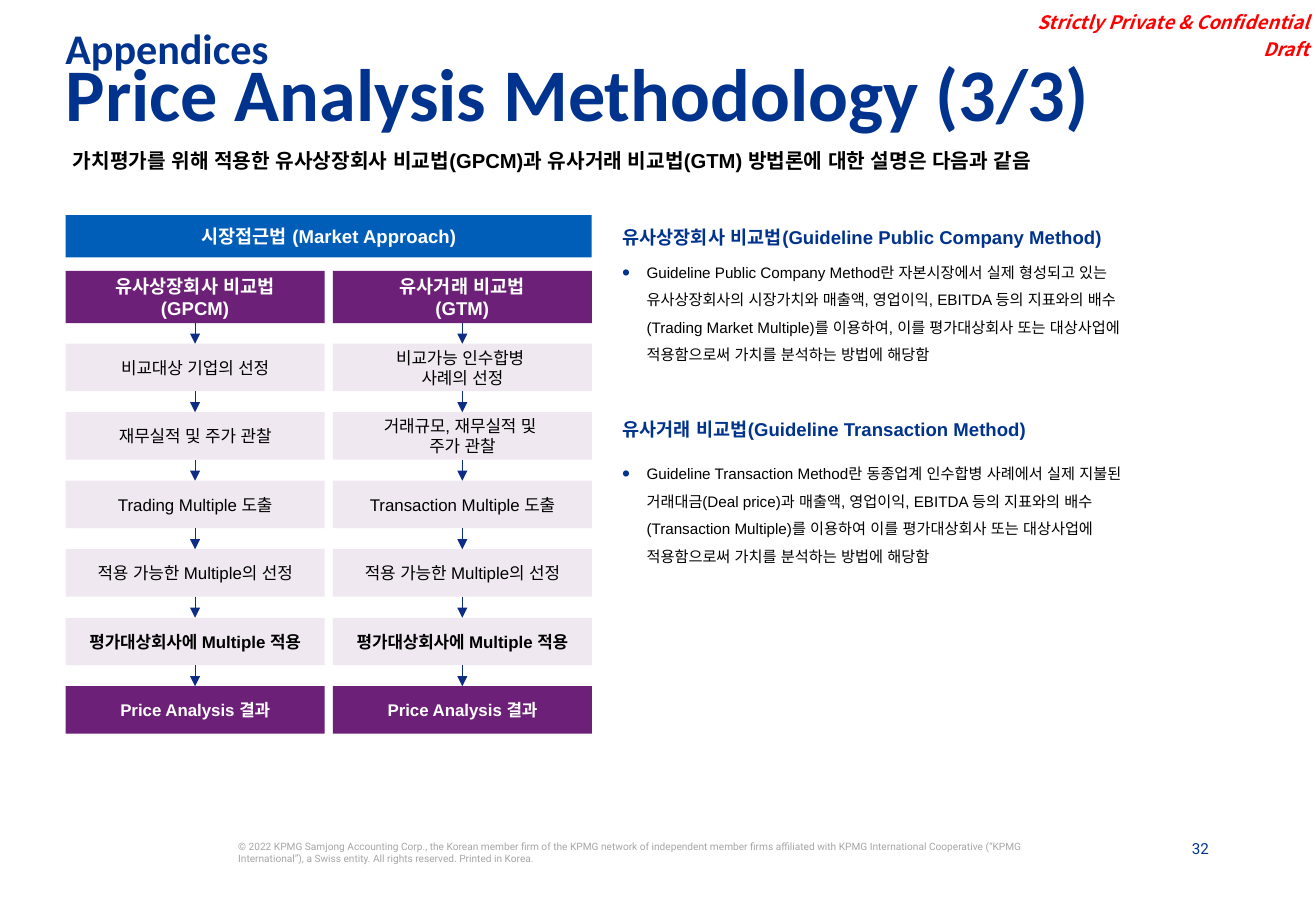
import dataclasses

import lxml.etree
import pptx
import pptx.dml.color
import pptx.enum.shapes
import pptx.enum.text
import pptx.oxml
import pptx.oxml.ns
import pptx.util

ALIGN = pptx.enum.text.PP_ALIGN
ANCHOR = pptx.enum.text.MSO_ANCHOR
COLORS = {
    "navy": "00338D", "blue": "005EB8", "purple": "6D2077", "arrow": "0C2D83",
    "red": "FF0000", "gray": "A6A6A6", "black": "000000", "white": "FFFFFF",
}
FLOWS = [
    ["유사상장회사 비교법\v(GPCM)", "비교대상 기업의 선정", "재무실적 및 주가 관찰",
     "Trading Multiple 도출", "적용 가능한 Multiple의 선정",
     "평가대상회사에 Multiple 적용", "Price Analysis 결과"],
    ["유사거래 비교법\v(GTM)", "비교가능 인수합병 \v사례의 선정",
     "거래규모, 재무실적 및 \v주가 관찰", "Transaction Multiple 도출",
     "적용 가능한 Multiple의 선정", "평가대상회사에 Multiple 적용",
     "Price Analysis 결과"],
]
GPCM_TEXT = (
    "Guideline Public Company Method란 자본시장에서 실제 형성되고 있는 "
    "유사상장회사의 시장가치와 매출액, 영업이익, EBITDA 등의 지표와의 "
    "배수(Trading Market Multiple)를 이용하여, 이를 평가대상회사 또는 대상사업에 "
    "적용함으로써 가치를 분석하는 방법에 해당함")
GTM_TEXT = (
    "Guideline Transaction Method란 동종업계 인수합병 사례에서 실제 지불된 "
    "거래대금(Deal price)과 매출액, 영업이익, EBITDA 등의 지표와의 "
    "배수(Transaction Multiple)를 이용하여 이를 평가대상회사 또는 대상사업에 "
    "적용함으로써 가치를 분석하는 방법에 해당함")
COPYRIGHT = (
    "© 2022 KPMG Samjong Accounting Corp., the Korean member firm of the KPMG "
    "network of independent member firms affiliated with KPMG International "
    "Cooperative (“KPMG International”), a Swiss entity. All rights reserved. "
    "Printed in Korea.")


@dataclasses.dataclass
class Box:
    """A rectangle in inches."""
    left: float
    top: float
    width: float
    height: float

    def share(self, left, top, width, height):
        """Return an inner box given in percent of this one."""
        return Box(self.left + self.width * left / 100,
                   self.top + self.height * top / 100,
                   self.width * width / 100, self.height * height / 100)

    def lengths(self):
        return [pptx.util.Inches(value) for value in dataclasses.astuple(self)]


SLIDE = Box(0, 0, 10.83, 7.5)


def color(name):
    return pptx.dml.color.RGBColor.from_string(COLORS[name])


def write(shape, text, size, ink, font="Arial", bold=False, italic=False,
          align=ALIGN.LEFT, anchor=ANCHOR.TOP, spacing=1.0, gap=0,
          insets=(0, 0, 0, 0), bullet=False):
    frame = shape.text_frame
    frame.text = text
    frame.word_wrap = True
    frame.auto_size = pptx.enum.text.MSO_AUTO_SIZE.NONE
    frame.vertical_anchor = anchor
    (frame.margin_left, frame.margin_top, frame.margin_right,
     frame.margin_bottom) = [pptx.util.Inches(inset) for inset in insets]
    for index, paragraph in enumerate(frame.paragraphs):
        paragraph.alignment = align
        paragraph.line_spacing = spacing
        paragraph.space_before = pptx.util.Pt(gap if index else 0)
        set_bullet(paragraph, bullet)
        paragraph.font.size = pptx.util.Pt(size)
        paragraph.font.name = font
        paragraph.font.bold = bold
        paragraph.font.italic = italic
        paragraph.font.color.rgb = color(ink)
        for run in paragraph.runs:
            east_asian = lxml.etree.SubElement(
                run._r.get_or_add_rPr(), pptx.oxml.ns.qn("a:ea"))
            east_asian.set("typeface", font)


def set_bullet(paragraph, bullet):
    properties = paragraph._p.get_or_add_pPr()
    indent = pptx.util.Inches(0.2) if bullet else 0
    properties.set("marL", str(indent))
    properties.set("indent", str(-indent))
    elements = ['<a:buNone %s/>']
    if bullet:
        elements = [
            '<a:buClr %s><a:srgbClr val="' + COLORS["navy"] + '"/></a:buClr>',
            '<a:buSzPct %s val="150000"/>',
            '<a:buFont %s typeface="Arial"/>',
            '<a:buChar %s char="•"/>']
    for element in elements:
        properties.append(pptx.oxml.parse_xml(element % pptx.oxml.ns.nsdecls("a")))


def add_text(slide, box, text, size, ink, **style):
    write(slide.shapes.add_textbox(*box.lengths()), text, size, ink, **style)


def fill_placeholder(placeholder, box, text, size, ink, **style):
    (placeholder.left, placeholder.top, placeholder.width,
     placeholder.height) = box.lengths()
    write(placeholder, text, size, ink, **style)


def add_block(slide, box, text, size, fill, ink="white", bold=True, alpha=None):
    block = slide.shapes.add_shape(
        pptx.enum.shapes.MSO_SHAPE.RECTANGLE, *box.lengths())
    block.shadow.inherit = False
    block.fill.solid()
    block.fill.fore_color.rgb = color(fill)
    block.line.fill.background()
    if alpha:
        tint = block._element.spPr.find(".//" + pptx.oxml.ns.qn("a:srgbClr"))
        lxml.etree.SubElement(
            tint, pptx.oxml.ns.qn("a:alpha")).set("val", str(alpha * 1000))
    write(block, text, size, ink, bold=bold, align=ALIGN.CENTER,
          anchor=ANCHOR.MIDDLE, insets=(0.1, 0.05, 0.1, 0.05))


def add_arrow(slide, upper, lower):
    """Join the bottom of one box to the top of the next."""
    middle = pptx.util.Inches(upper.left + upper.width / 2)
    arrow = slide.shapes.add_connector(
        pptx.enum.shapes.MSO_CONNECTOR.STRAIGHT,
        middle, pptx.util.Inches(upper.top + upper.height),
        middle, pptx.util.Inches(lower.top))
    arrow.line.color.rgb = color("arrow")
    arrow.line.width = pptx.util.Pt(0.5)
    line = arrow._element.spPr.find(pptx.oxml.ns.qn("a:ln"))
    lxml.etree.SubElement(line, pptx.oxml.ns.qn("a:tailEnd")).set("type", "triangle")
    lxml.etree.SubElement(arrow._element.spPr, pptx.oxml.ns.qn("a:effectLst"))


def add_heading(slide, box):
    style = dict(font="Calibri", bold=True, spacing=0.7,
                 insets=(0.1, 0.05, 0.1, 0.05))
    add_text(slide, box.share(0, 0, 100, 32), "Appendices", 25, "navy", **style)
    fill_placeholder(slide.shapes.title, box.share(0, 31, 100, 69),
                     "Price Analysis Methodology (3/3)", 44, "navy", **style)


def add_flow(slide, box, steps):
    """Stack a header, evenly spaced steps and a result, joined by arrows."""
    step_height = 10.24
    pitch = (100 - step_height - 15.75) / (len(steps) - 2)
    boxes = [box.share(0, 0, 100, 11.29)]
    boxes += [box.share(0, 15.75 + pitch * index, 100, step_height)
              for index in range(len(steps) - 1)]
    last = len(steps) - 1
    for index, (step_box, step) in enumerate(zip(boxes, steps)):
        if index in (0, last):
            add_block(slide, step_box, step, 10 if index else 11, "purple")
        else:
            add_block(slide, step_box, step, 10, "purple", "black",
                      bold=index == last - 1, alpha=10)
    for upper, lower in zip(boxes, boxes[1:]):
        add_arrow(slide, upper, lower)


def add_market_approach(slide, box):
    add_block(slide, box.share(0, 0, 100, 8.2),
              "시장접근법 (Market Approach)", 11, "blue")
    column_width = 49.2
    for index, steps in enumerate(FLOWS):
        left = index * (100 - column_width)
        add_flow(slide, box.share(left, 10.77, column_width, 89.23), steps)


def add_method(heading, body, box, title, text, body_top):
    fill_placeholder(heading, box.share(0, 0, 100, 20), title, 11, "navy",
                     bold=True, spacing=1.5)
    fill_placeholder(body, box.share(0, body_top, 78.87, 100 - body_top), text,
                     9, "black", spacing=1.5, bullet=True)


def add_margins(slide, box):
    """Add the confidentiality mark, copyright line and page number."""
    add_text(slide, box.share(76.82, -0.13, 23.08, 7.33),
             "Strictly Private & Confidential\nDraft", 11, "red",
             font="Noto Sans CJK KR", bold=True, italic=True, align=ALIGN.RIGHT,
             anchor=ANCHOR.BOTTOM, gap=3, insets=(0, 0.04, 0.04, 0.04))
    add_text(slide, box.share(18.1, 92.27, 60.3, 6.67), COPYRIGHT, 6, "gray",
             font="Roboto")
    add_text(slide, box.share(87.9, 92.13, 3.97, 2.13), "32", 9, "navy",
             font="Roboto", align=ALIGN.RIGHT)


def main():
    presentation = pptx.Presentation()
    presentation.slide_width = pptx.util.Inches(SLIDE.width)
    presentation.slide_height = pptx.util.Inches(SLIDE.height)
    slide = presentation.slides.add_slide(
        presentation.slide_layouts.get_by_name("Comparison"))
    _, *method_holders = slide.placeholders
    add_margins(slide, SLIDE)
    add_heading(slide, SLIDE.share(4.06, 3.33, 86.8, 12.4))
    add_text(slide, SLIDE.share(5.54, 16, 88.73, 7.2),
             "가치평가를 위해 적용한 유사상장회사 비교법(GPCM)과 유사거래 비교법(GTM) "
             "방법론에 대한 설명은 다음과 같음", 12, "black", bold=True,
             align=ALIGN.JUSTIFY, spacing=1.1)
    add_market_approach(slide, SLIDE.share(4.99, 23.6, 39.98, 56.93))
    add_method(*method_holders[:2], SLIDE.share(47.28, 23.6, 50.69, 16),
               "유사상장회사 비교법(Guideline Public Company Method)", GPCM_TEXT, 26.67)
    add_method(*method_holders[2:], SLIDE.share(47.28, 44.67, 50.69, 17.07),
               "유사거래 비교법(Guideline Transaction Method)", GTM_TEXT, 31.25)
    presentation.save("out.pptx")


if __name__ == "__main__":
    main()
